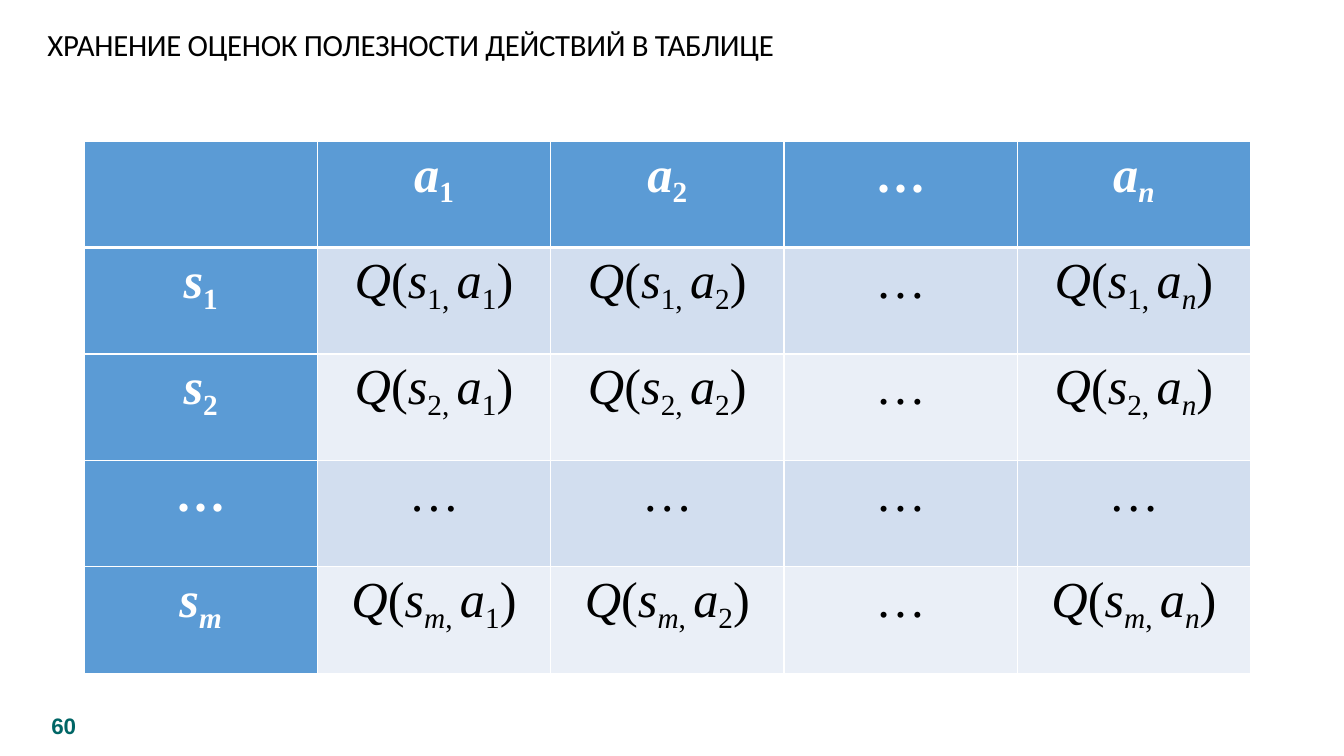
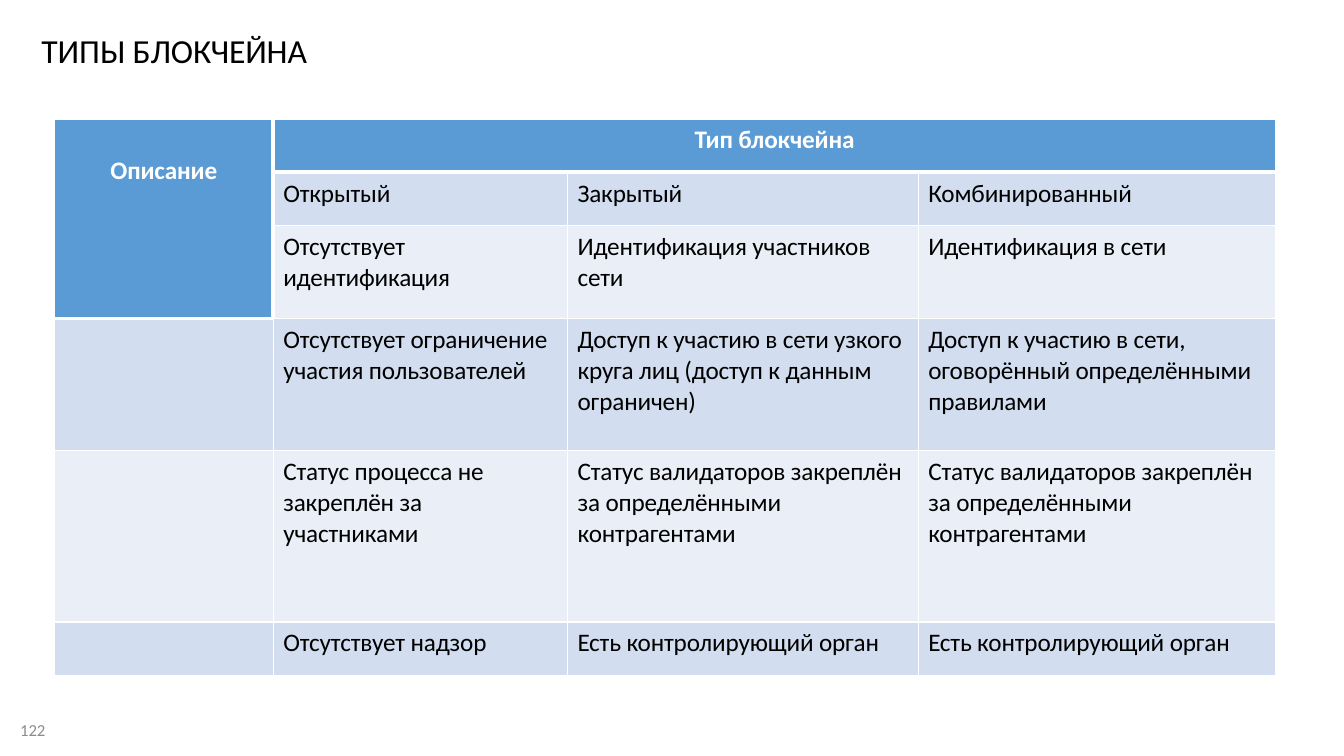
"""Build two slides with tables: action value estimates and blockchain types."""
from lxml.etree import SubElement
from pptx import Presentation
from pptx.dml.color import RGBColor
from pptx.enum.text import MSO_ANCHOR, PP_ALIGN
from pptx.oxml.ns import qn
from pptx.util import Inches, Pt

COLORS = {
    "text": "000000",
    "header": "5B9BD5",
    "odd_row": "D2DEEF",
    "even_row": "EAEFF7",
    "white": "FFFFFF",
    "teal": "006666",
    "grey": "8C8C8C",
}

presentation = Presentation()
presentation.slide_width = Inches(13.333)
presentation.slide_height = Inches(7.5)
COLUMN = presentation.slide_width / 100
ROW = presentation.slide_height / 100
THIN, THICK = Pt(1), Pt(3)


def add_run(paragraph, text, font, size, color, bold=False, italic=False, subscript=False, spacing=0):
    run = paragraph.add_run()
    run.text = text
    run.font.name = font
    run.font.size = Pt(size)
    run.font.bold = bold
    run.font.italic = italic
    run.font.color.rgb = RGBColor.from_string(COLORS[color])
    properties = run._r.get_or_add_rPr()
    if subscript:
        properties.set("baseline", "-21000")
    if spacing:
        properties.set("spc", str(spacing))


def add_text_box(slide, place, anchor, align, **run_style):
    left, top, width, height = place
    shape = slide.shapes.add_textbox(
        round(left * COLUMN), round(top * ROW), round(width * COLUMN), round(height * ROW)
    )
    frame = shape.text_frame
    frame.word_wrap = True
    frame.vertical_anchor = anchor
    frame.margin_left = frame.margin_right = frame.margin_top = frame.margin_bottom = 0
    paragraph = frame.paragraphs[0]
    paragraph.alignment = align
    add_run(paragraph, **run_style)
    return paragraph


ellipsis = [("…", False, False)]
actions = ["1", "2", "…", "n"]
states = ["1", "2", "…", "m"]
value_rows = [[[]]]
for action in actions:
    value_rows[0].append(
        ellipsis if action == "…" else [("a", True, False), (action, action.isalpha(), True)]
    )
for state in states:
    state_label = [("s", True, False), (state, state.isalpha(), True)]
    row_cells = [ellipsis if state == "…" else state_label]
    for action_label, action in zip(value_rows[0][1:], actions):
        if "…" in (state, action):
            row_cells.append(ellipsis)
        else:
            row_cells.append(
                [("Q", True, False), ("(", False, False), *state_label, (", ", False, True),
                 *action_label, (")", False, False)]
            )
    value_rows.append(row_cells)

validators = "Статус валидаторов закреплён за определёнными контрагентами"
blockchain_texts = [
    ["Описание", "Тип блокчейна", "", ""],
    ["", "Открытый", "Закрытый", "Комбинированный"],
    ["", "Отсутствует идентификация", "Идентификация участников сети", "Идентификация в сети"],
    ["", "Отсутствует ограничение участия пользователей",
     "Доступ к участию в сети узкого круга лиц (доступ к данным ограничен)",
     "Доступ к участию в сети, оговорённый определёнными правилами"],
    ["", "Статус процесса не закреплён за участниками", validators, validators],
    ["", "Отсутствует надзор", "Есть контролирующий орган", "Есть контролирующий орган"],
]
blockchain_rows = [
    [[(text, False, False)] if text else [] for text in row] for row in blockchain_texts
]

slides = [
    {
        "title": "ХРАНЕНИЕ ОЦЕНОК ПОЛЕЗНОСТИ ДЕЙСТВИЙ В ТАБЛИЦЕ",
        "title_place": (3.53, 3.2, 67, 5.2),
        "title_size": 22,
        "title_spacing": -20,
        "number_place": (3.83, 94.27, 2.2, 3.73),
        "number_layout": (MSO_ANCHOR.TOP, PP_ALIGN.LEFT),
        "number_style": {"text": "60", "font": "Arial", "size": 16, "color": "teal", "bold": True},
        "corner": (6.25, 18.67),
        "columns": [17.36] * 5,
        "rows": [14.08] * 5,
        "header_depths": [1] * 5,
        "header_column": True,
        "body_align": PP_ALIGN.CENTER,
        "body_margin": 0,
        "font": "Times New Roman",
        "size": 36,
        "spacing": 0,
        "merges": [],
        "cells": value_rows,
    },
    {
        "title": "ТИПЫ БЛОКЧЕЙНА",
        "title_place": (3.08, 3.73, 24.3, 5.73),
        "title_size": 24,
        "title_spacing": -10,
        "number_place": (0, 94.27, 3.38, 3.73),
        "number_layout": (MSO_ANCHOR.MIDDLE, PP_ALIGN.RIGHT),
        "number_style": {"text": "122", "font": "Calibri", "size": 12, "color": "grey"},
        "corner": (4.05, 15.73),
        "columns": [16.28, 21.9, 26.1, 26.62],
        "rows": [7.07, 7.07, 12.27, 17.47, 22.67, 7.07],
        "header_depths": [3, 1, 1, 1],
        "header_column": False,
        "body_align": PP_ALIGN.LEFT,
        "body_margin": 0.75,
        "font": "Calibri",
        "size": 18,
        "spacing": -10,
        "merges": [((0, 0), (2, 0)), ((0, 1), (0, 3))],
        "cells": blockchain_rows,
    },
]

for content in slides:
    slide = presentation.slides.add_slide(presentation.slide_layouts[6])
    add_text_box(
        slide, content["title_place"], MSO_ANCHOR.MIDDLE, PP_ALIGN.LEFT,
        text=content["title"], font="Calibri", size=content["title_size"],
        color="text", spacing=content["title_spacing"],
    )
    number = add_text_box(
        slide, content["number_place"], *content["number_layout"],
        **content["number_style"], spacing=-10,
    )
    number.line_spacing = Pt(18.6)

    left, top = content["corner"]
    widths, heights = content["columns"], content["rows"]
    table = slide.shapes.add_table(
        len(heights), len(widths), round(left * COLUMN), round(top * ROW),
        round(sum(widths) * COLUMN), round(sum(heights) * ROW),
    ).table
    for table_column, width in zip(table.columns, widths):
        table_column.width = round(width * COLUMN)
    for table_row, height in zip(table.rows, heights):
        table_row.height = round(height * ROW)
    for first, last in content["merges"]:
        table.cell(*first).merge(table.cell(*last))

    depths = content["header_depths"]
    for row, row_cells in enumerate(content["cells"]):
        for column, runs in enumerate(row_cells):
            cell = table.cell(row, column)
            depth = depths[column]
            depth_before = depths[max(column - 1, 0)]
            depth_after = depths[min(column + 1, len(depths) - 1)]
            thick_sides = {
                "lnL": depth_before != depth and row < max(depth_before, depth),
                "lnR": depth_after != depth and row < max(depth_after, depth),
                "lnT": row == depth,
                "lnB": row + 1 == depth,
            }
            cell_properties = cell._tc.get_or_add_tcPr()
            for side, is_thick in thick_sides.items():
                line = SubElement(cell_properties, qn(f"a:{side}"), w=str(THICK if is_thick else THIN))
                line_fill = SubElement(line, qn("a:solidFill"))
                SubElement(line_fill, qn("a:srgbClr"), val=COLORS["white"])

            is_header = row < depth or (content["header_column"] and column == 0)
            band = "odd_row" if row % 2 else "even_row"
            cell.fill.solid()
            cell.fill.fore_color.rgb = RGBColor.from_string(COLORS["header" if is_header else band])
            cell.margin_left = cell.margin_right = 0 if is_header else round(content["body_margin"] * COLUMN)
            cell.margin_top = round((4.8 if cell.is_merge_origin and cell.span_height > 1 else 0.8) * ROW)
            cell.margin_bottom = 0
            paragraph = cell.text_frame.paragraphs[0]
            paragraph.alignment = PP_ALIGN.CENTER if is_header else content["body_align"]
            for text, italic, subscript in runs:
                add_run(
                    paragraph, text, content["font"], content["size"],
                    "white" if is_header else "text", is_header, italic, subscript, content["spacing"],
                )

presentation.save("out.pptx")
